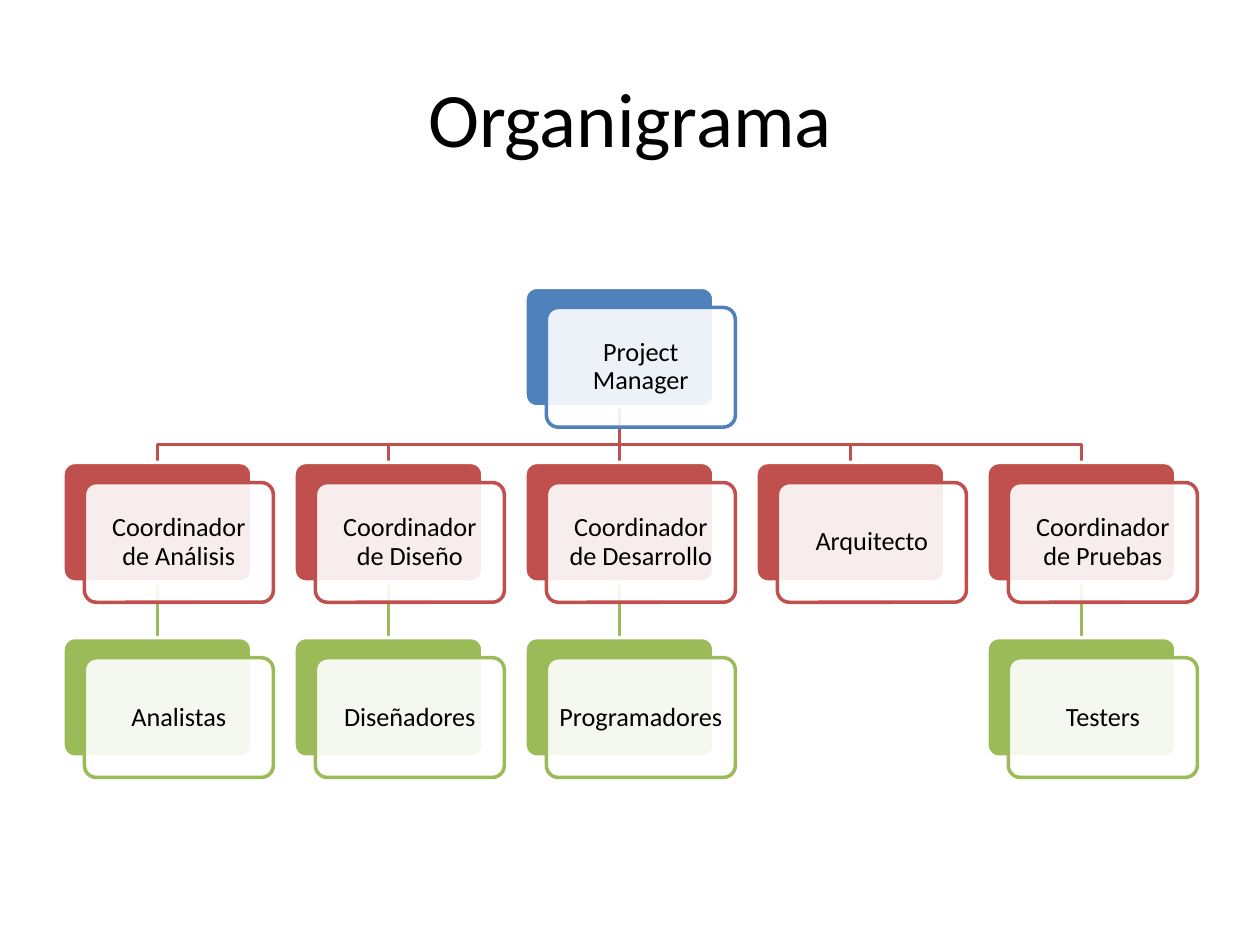
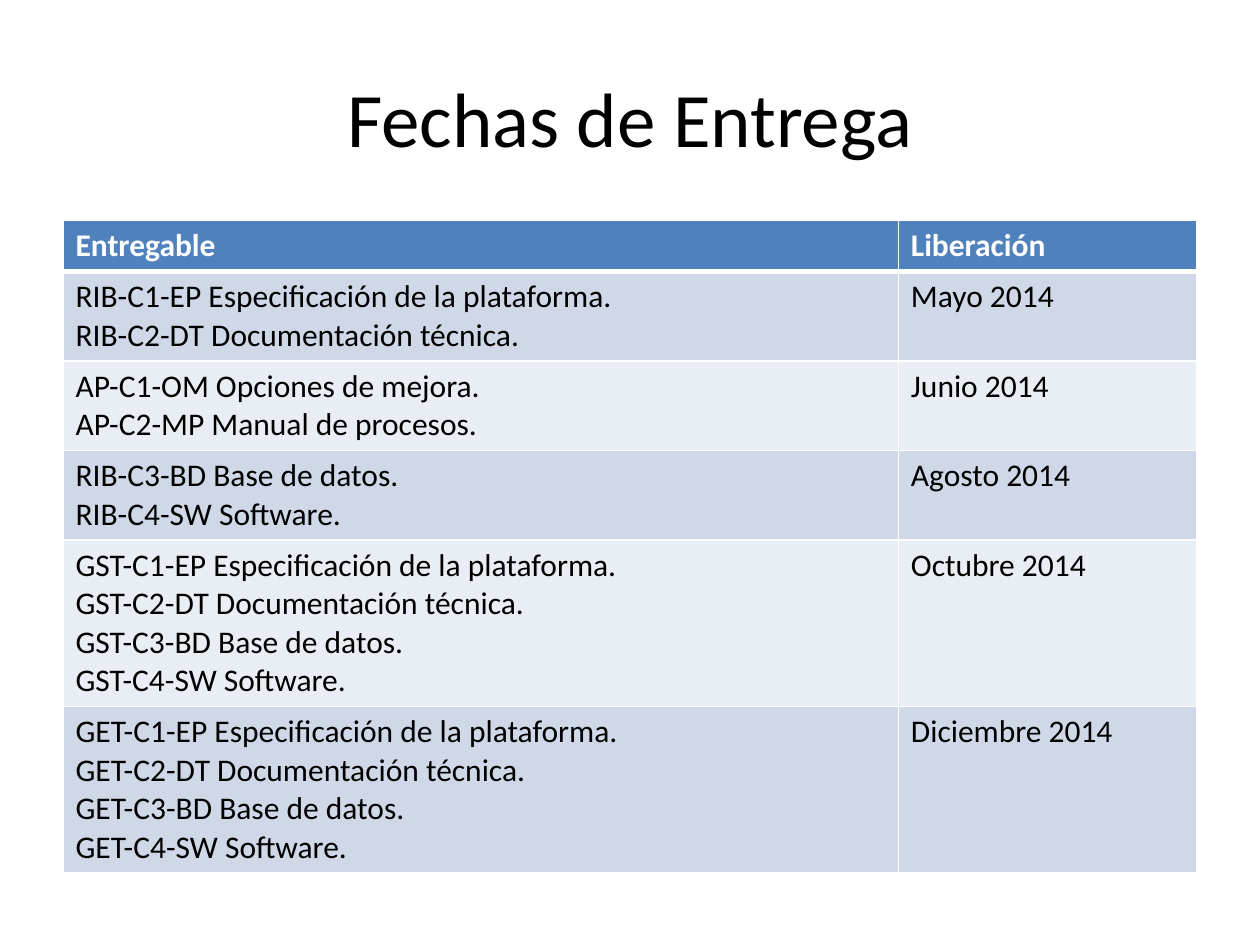
from lxml.etree import SubElement
from pptx import Presentation
from pptx.dml.color import RGBColor as RGB
from pptx.enum.shapes import MSO_CONNECTOR as LINK, MSO_SHAPE as SHAPE
from pptx.enum.text import MSO_ANCHOR as ANCHOR, PP_ALIGN as ALIGN
from pptx.oxml.ns import qn
from pptx.util import Inches, Pt

BLACK = RGB(0x00, 0x00, 0x00)
WHITE = RGB(0xFF, 0xFF, 0xFF)
BLUE = RGB(0x4F, 0x81, 0xBD)
RED = RGB(0xC0, 0x50, 0x4D)
GREEN = RGB(0x9B, 0xBB, 0x59)
BANDS = RGB(0xD0, 0xD8, 0xE8), RGB(0xE9, 0xED, 0xF4)

TITLE = {"name": "Calibri", "size": Pt(44)}
LABEL = {"name": "Calibri", "size": Pt(15)}
HEAD = {"name": "Calibri", "size": Pt(18), "bold": True}
BODY = {"name": "Calibri", "size": Pt(18), "bold": False}
INSET = {f"margin_{side}": Inches(0.07) for side in ("left", "right", "top", "bottom")}

LEFT, TOP = 0.5, 2.28
WIDE, HIGH = 1.5, 0.95
STEP_X, STEP_Y = 11 / 6, 1.39
SHIFT_X, SHIFT_Y = 0.17, 0.16
BUS = 3.53
BOSS_COL = 2

TEAMS = [
    ("Coordinador de Análisis", "Analistas"),
    ("Coordinador de Diseño", "Diseñadores"),
    ("Coordinador de Desarrollo", "Programadores"),
    ("Arquitecto", None),
    ("Coordinador de Pruebas", "Testers"),
]

HEADS = "Entregable", "Liberación"
DATES = [
    (["RIB-C1-EP Especificación de la plataforma.",
      "RIB-C2-DT Documentación técnica."], "Mayo 2014"),
    (["AP-C1-OM Opciones de mejora.",
      "AP-C2-MP Manual de procesos."], "Junio 2014"),
    (["RIB-C3-BD Base de datos.",
      "RIB-C4-SW Software."], "Agosto 2014"),
    (["GST-C1-EP Especificación de la plataforma.",
      "GST-C2-DT Documentación técnica.",
      "GST-C3-BD Base de datos.",
      "GST-C4-SW Software."], "Octubre 2014"),
    (["GET-C1-EP Especificación de la plataforma.",
      "GET-C2-DT Documentación técnica.",
      "GET-C3-BD Base de datos.",
      "GET-C4-SW Software."], "Diciembre 2014"),
]


def set_all(item, values):
    for name, value in values.items():
        setattr(item, name, value)


def set_font(font, values, color):
    set_all(font, values)
    font.color.rgb = color


def set_line(shape, color):
    shape.line.color.rgb = color
    shape.line.width = Pt(2)


def add_slide(deck, title):
    slide = deck.slides.add_slide(deck.slide_layouts[5])
    box = slide.shapes.title
    box.left, box.top, box.width, box.height = map(Inches, (0.5, 0.3, 9, 1.25))
    box.text_frame.text = title
    box.text_frame.vertical_anchor = ANCHOR.MIDDLE
    para = box.text_frame.paragraphs[0]
    para.alignment = ALIGN.CENTER
    set_font(para.font, TITLE, BLACK)
    return slide


def card_x(col):
    return LEFT + col * STEP_X


def card_y(row):
    return TOP + row * STEP_Y


def add_link(shapes, col, row, color):
    """Straight line from a card down to the card below it."""
    x = Inches(card_x(col) + WIDE / 2)
    link = shapes.add_connector(LINK.STRAIGHT, x, Inches(card_y(row) + HIGH),
                                x, Inches(card_y(row + 1)))
    set_line(link, color)
    SubElement(link._element.spPr, qn("a:effectLst"))


def add_branch(shapes, col):
    """Stepped line from the top card to a card of the second row."""
    start, end = (card_x(n) + WIDE / 2 for n in (BOSS_COL, col))
    spots = [(start, card_y(0) + HIGH), (start, BUS), (end, BUS), (end, card_y(1))]
    spots = [(Inches(x), Inches(y)) for x, y in spots]
    pen = shapes.build_freeform(*spots[0])
    pen.add_line_segments(spots[1:], close=False)
    branch = pen.convert_to_shape()
    branch.shadow.inherit = False
    branch.fill.background()
    set_line(branch, RED)


def add_box(shapes, x, y, fill, line):
    box = shapes.add_shape(SHAPE.ROUNDED_RECTANGLE, *map(Inches, (x, y, WIDE, HIGH)))
    box.adjustments[0] = 0.1
    box.shadow.inherit = False
    box.fill.solid()
    box.fill.fore_color.rgb = fill
    set_line(box, line)
    return box


def add_card(shapes, col, row, text, color):
    x, y = card_x(col), card_y(row)
    add_box(shapes, x, y, color, WHITE)
    front = add_box(shapes, x + SHIFT_X, y + SHIFT_Y, WHITE, color)
    tint = front._element.spPr.find(qn("a:solidFill"))[0]
    SubElement(tint, qn("a:alpha"), val="90000")
    frame = front.text_frame
    set_all(frame, INSET)
    frame.word_wrap = True
    frame.vertical_anchor = ANCHOR.MIDDLE
    frame.text = text
    para = frame.paragraphs[0]
    para.alignment = ALIGN.CENTER
    para.line_spacing = 0.9
    set_font(para.font, LABEL, BLACK)


def add_chart(slide):
    shapes = slide.shapes.add_group_shape().shapes
    for col, (_, staff) in enumerate(TEAMS):
        if col == BOSS_COL:
            add_link(shapes, col, 0, RED)
        else:
            add_branch(shapes, col)
        if staff:
            add_link(shapes, col, 1, GREEN)
    add_card(shapes, BOSS_COL, 0, "Project Manager", BLUE)
    for col, (lead, staff) in enumerate(TEAMS):
        add_card(shapes, col, 1, lead, RED)
        if staff:
            add_card(shapes, col, 2, staff, GREEN)


def add_edges(cell, row):
    widths = {"L": 1, "R": 1, "T": 3 if row == 1 else 1, "B": 3 if row == 0 else 1}
    props = cell._tc.get_or_add_tcPr()
    for side, width in widths.items():
        edge = SubElement(props, qn(f"a:ln{side}"), w=str(Pt(width)))
        fill = SubElement(edge, qn("a:solidFill"))
        SubElement(fill, qn("a:srgbClr"), val=str(WHITE))


def fill_cell(cell, row, text):
    add_edges(cell, row)
    cell.fill.solid()
    cell.fill.fore_color.rgb = BANDS[(row - 1) % 2] if row else BLUE
    cell.text = text
    for para in cell.text_frame.paragraphs:
        set_font(para.font, BODY if row else HEAD, BLACK if row else WHITE)


def add_dates(slide):
    rows = [HEADS] + [("\n".join(items), date) for items, date in DATES]
    table = slide.shapes.add_table(len(rows), len(HEADS),
                                   *map(Inches, (0.5, 1.75, 9, 5.11))).table
    for col, width in zip(table.columns, (6.63, 2.37)):
        col.width = Inches(width)
    for row, texts in enumerate(rows):
        lines = texts[0].count("\n") + 1
        table.rows[row].height = Inches(0.1 + 0.3 * lines)
        for col, text in enumerate(texts):
            fill_cell(table.cell(row, col), row, text)


def main():
    deck = Presentation()
    deck.slide_width, deck.slide_height = Inches(10), Inches(7.5)
    add_chart(add_slide(deck, "Organigrama"))
    add_dates(add_slide(deck, "Fechas de Entrega"))
    deck.save("out.pptx")


if __name__ == "__main__":
    main()
